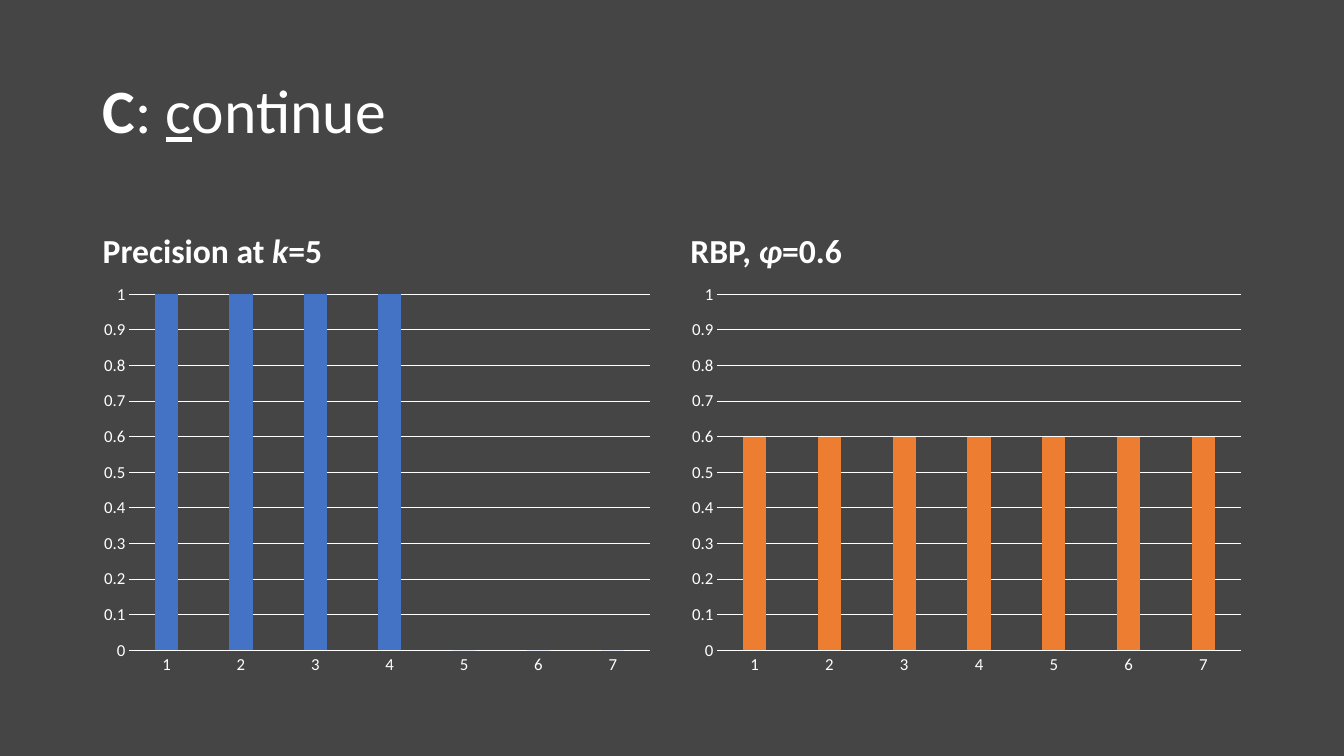
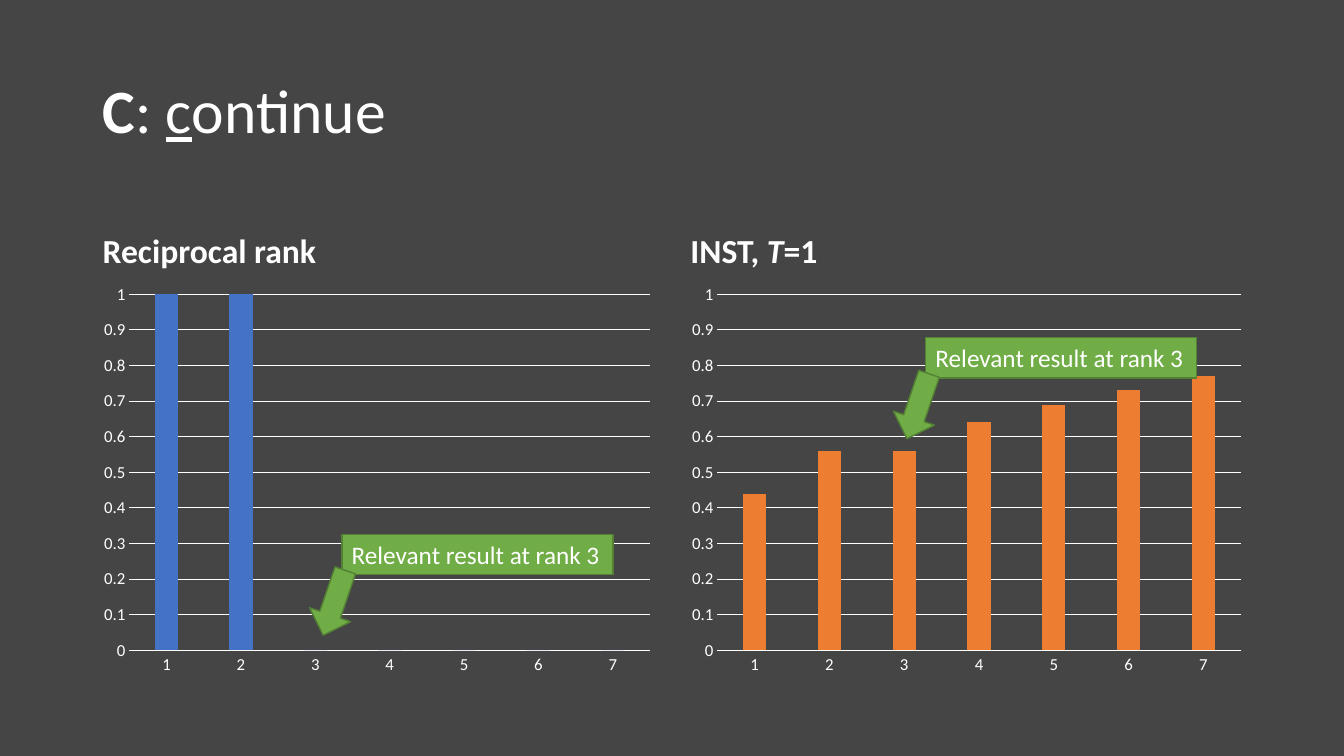
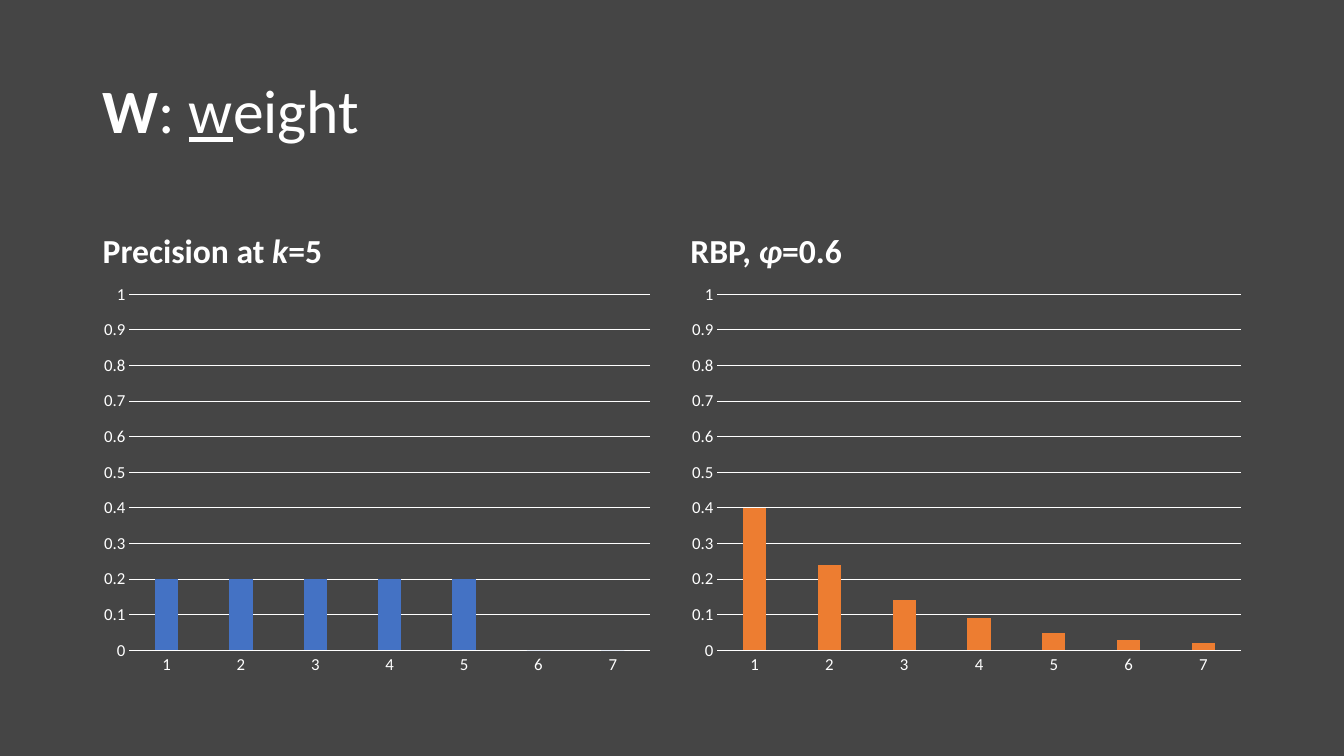
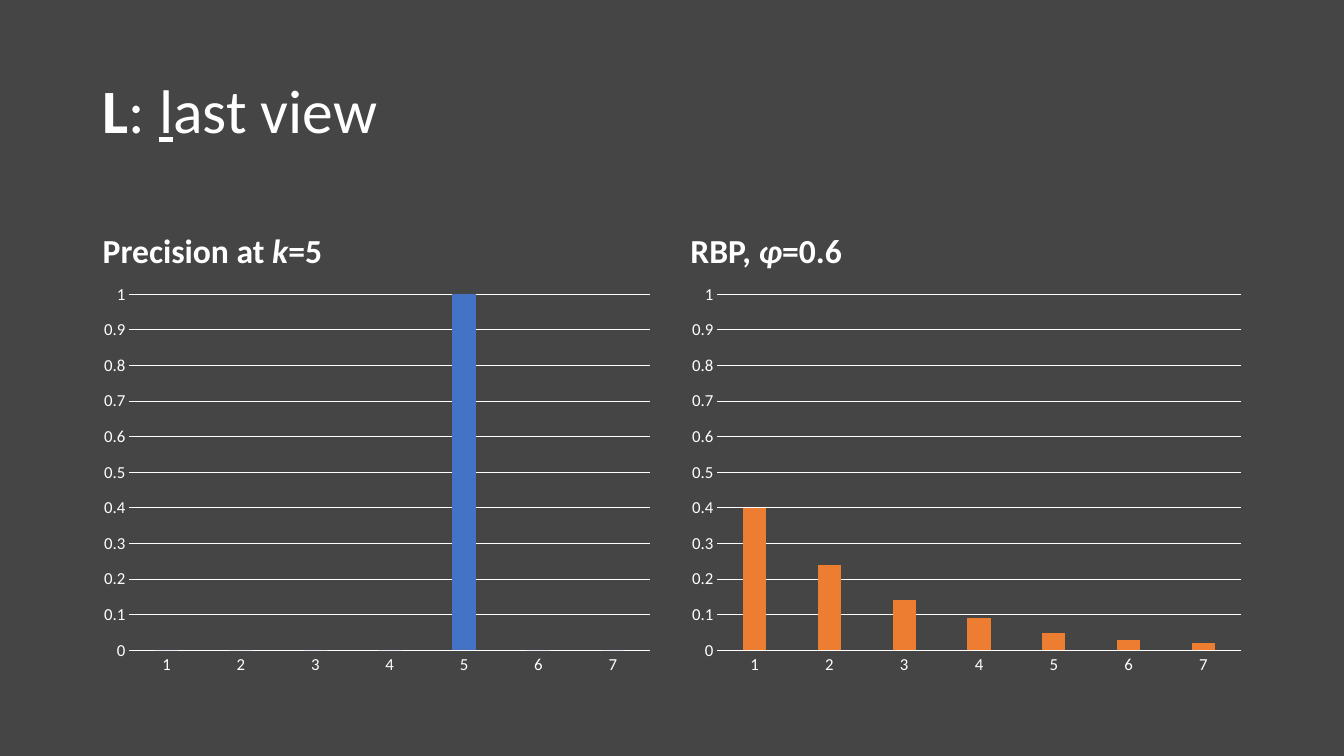
"""Build four slides that compare user models as pairs of column charts."""
from pptx import Presentation
from pptx.chart.data import CategoryChartData
from pptx.dml.color import RGBColor
from pptx.enum.chart import XL_CHART_TYPE, XL_TICK_MARK
from pptx.enum.shapes import MSO_SHAPE
from pptx.enum.text import MSO_ANCHOR, MSO_AUTO_SIZE, PP_ALIGN
from pptx.util import Inches, Pt

COLUMN = XL_CHART_TYPE.COLUMN_CLUSTERED
NO_TICK = XL_TICK_MARK.NONE
RECT, ARROW = MSO_SHAPE.RECTANGLE, MSO_SHAPE.DOWN_ARROW
TOP, MIDDLE, BOTTOM = MSO_ANCHOR.TOP, MSO_ANCHOR.MIDDLE, MSO_ANCHOR.BOTTOM
GROW, LEFT = MSO_AUTO_SIZE.SHAPE_TO_FIT_TEXT, PP_ALIGN.LEFT

COLORS = {"back": "454545", "text": "FFFFFF", "blue": "4472C4",
          "orange": "ED7D31", "green": "70AD47", "edge": "538035"}
FACE = "Calibri"
SIZE = (13.33, 7.5)
TITLE = (0.92, 0.4, 11.5, 1.45)
COLS = ((0.92, 5.64, "blue"), (6.75, 5.67, "orange"))
HEAD, PLOT = (1.84, 0.9), (2.74, 4.03)
TAG, POINTER = (2.69, 0.4), (0.43, 0.68)
SHIFT, TURN = (-0.29, 0.34), 18.8
NOTE = "Relevant result at rank 3"

PREC = [("Precision at ", ""), ("k", "italic"), ("=5", "")]
RBP = [("RBP, ", ""), ("φ", "italic"), ("=0.6", "")]
RANK = [("Reciprocal rank", "")]
INST = [("INST, ", ""), ("T", "italic"), ("=1", "")]
DECAY = [0.4, 0.24, 0.14, 0.09, 0.05, 0.03, 0.02]

SLIDES = [
    {"title": ("C", "c", "ontinue"), "tags": [],
     "charts": [(PREC, [1] * 4 + [0] * 3), (RBP, [0.6] * 7)]},
    {"title": ("C", "c", "ontinue"), "tags": [(3.39, 5.3), (9.18, 3.35)],
     "charts": [(RANK, [1] * 2 + [0] * 5),
                (INST, [0.44, 0.56, 0.56, 0.64, 0.69, 0.73, 0.77])]},
    {"title": ("W", "w", "eight"), "tags": [],
     "charts": [(PREC, [0.2] * 5 + [0] * 2), (RBP, DECAY)]},
    {"title": ("L", "l", "ast view"), "tags": [],
     "charts": [(PREC, [0] * 4 + [1] + [0] * 2), (RBP, DECAY)]},
]


def put(obj, **vals):
    """Set each named value on an object."""
    for name, val in vals.items():
        setattr(obj, name, val)


def tint(fill, name):
    """Make a fill solid in a named colour."""
    fill.solid()
    fill.fore_color.rgb = RGBColor.from_string(COLORS[name])


def style(font, size, **vals):
    """Give a font the shared face and colour."""
    put(font, name=FACE, size=Pt(size), **vals)
    tint(font.fill, "text")


def stroke(line, name, width):
    """Draw a line in a named colour."""
    tint(line.fill, name)
    line.width = Pt(width)


def write(slide, area, runs, size, anchor, bold):
    """Add a text box whose runs may each carry one extra style."""
    frame = slide.shapes.add_textbox(*map(Inches, area)).text_frame
    put(frame, word_wrap=True, vertical_anchor=anchor)
    para = frame.paragraphs[0]
    para.line_spacing = 0.9
    for text, mark in runs:
        run = para.add_run()
        run.text = text
        style(run.font, size, bold=bold)
        if mark:
            put(run.font, **{mark: True})


def plot(slide, area, vals, color):
    """Add a column chart on a scale from 0 to 1."""
    data = CategoryChartData()
    data.categories = [str(n + 1) for n in range(len(vals))]
    data.add_series("Series 1", vals)
    chart = slide.shapes.add_chart(COLUMN, *map(Inches, area), data).chart
    put(chart, has_legend=False, has_title=False)
    style(chart.font, 10)
    bars = chart.plots[0]
    put(bars, gap_width=219, overlap=-27, vary_by_categories=False)
    tint(bars.series[0].format.fill, color)
    cat, val = chart.category_axis, chart.value_axis
    for axis in (cat, val):
        put(axis, major_tick_mark=NO_TICK, minor_tick_mark=NO_TICK)
        style(axis.tick_labels.font, 12)
    put(val, minimum_scale=0, maximum_scale=1, major_unit=0.1)
    stroke(cat.format.line, "text", 0.75)
    stroke(val.major_gridlines.format.line, "text", 0.75)
    val.format.line.fill.background()


def block(slide, kind, area):
    """Add a green shape with a dark edge."""
    shape = slide.shapes.add_shape(kind, *map(Inches, area))
    shape.shadow.inherit = False
    tint(shape.fill, "green")
    stroke(shape.line, "edge", 1)
    return shape


def label(slide, left, top):
    """Add a note with a tilted arrow at its lower left corner."""
    frame = block(slide, RECT, (left, top, *TAG)).text_frame
    put(frame, word_wrap=False, auto_size=GROW, vertical_anchor=TOP)
    para = frame.paragraphs[0]
    put(para, text=NOTE, alignment=LEFT)
    style(para.runs[0].font, 18)
    arrow = block(slide, ARROW, (left + SHIFT[0], top + SHIFT[1], *POINTER))
    arrow.rotation = TURN


def main():
    """Build and save the deck."""
    deck = Presentation()
    put(deck, slide_width=Inches(SIZE[0]), slide_height=Inches(SIZE[1]))
    tint(deck.slide_master.background.fill, "back")
    for item in SLIDES:
        slide = deck.slides.add_slide(deck.slide_layouts[6])
        key, first, rest = item["title"]
        runs = [(key, "bold"), (": ", ""), (first, "underline"), (rest, "")]
        write(slide, TITLE, runs, 44, MIDDLE, False)
        for (left, width, color), (head, vals) in zip(COLS, item["charts"]):
            write(slide, (left, HEAD[0], width, HEAD[1]), head, 24, BOTTOM, True)
            plot(slide, (left, PLOT[0], width, PLOT[1]), vals, color)
        for spot in item["tags"]:
            label(slide, *spot)
    deck.save("out.pptx")


if __name__ == "__main__":
    main()
